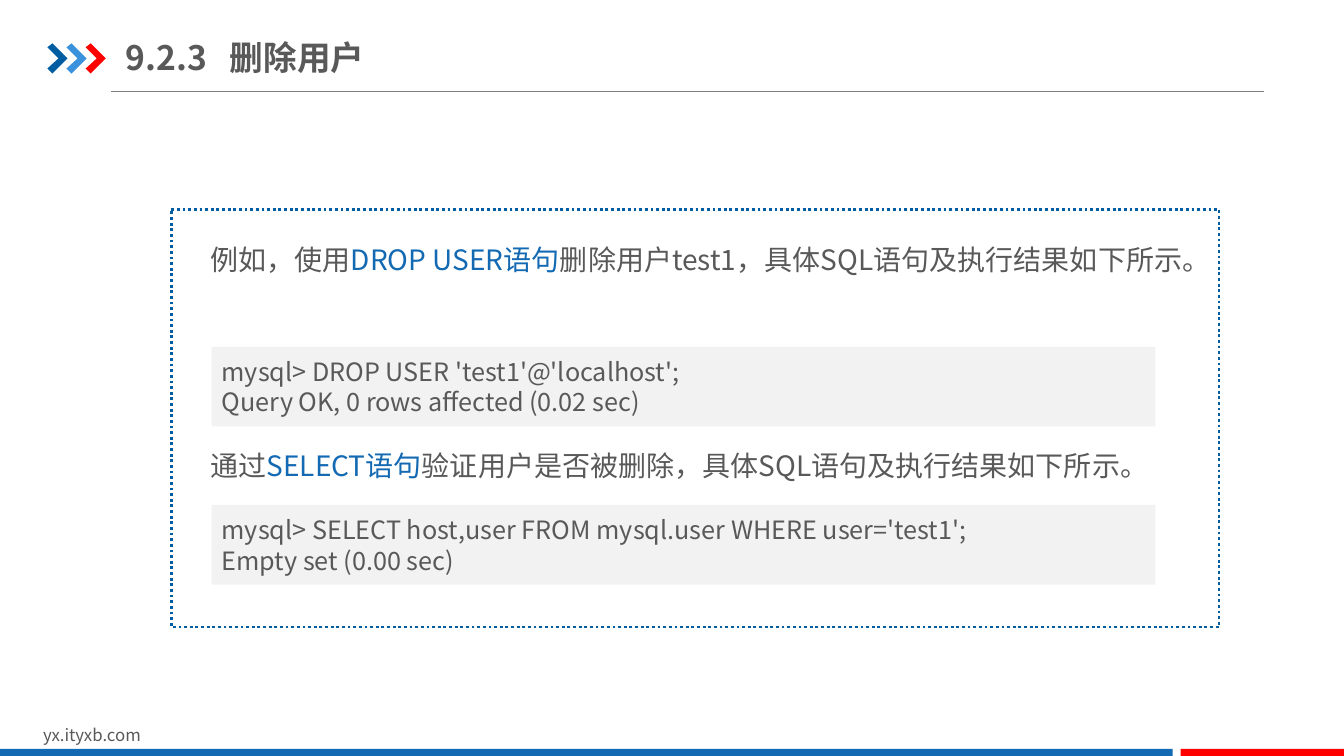
from lxml import etree
from pptx import Presentation
from pptx.dml.color import RGBColor
from pptx.enum.dml import MSO_LINE
from pptx.enum.shapes import MSO_CONNECTOR, MSO_SHAPE
from pptx.enum.text import MSO_ANCHOR, PP_ALIGN
from pptx.oxml.ns import qn
from pptx.util import Inches, Pt

FONT = "Noto Sans CJK SC"
TEXT, BLUE, NAVY, SKY = "595959", "1369B2", "005DA2", "3992DB"
RED, WHITE, PALE, GRAY = "FF0000", "FFFFFF", "F2F2F2", "808080"
RECTANGLE, PROCESS = MSO_SHAPE.RECTANGLE, MSO_SHAPE.FLOWCHART_PROCESS
STRAIGHT, DOTTED = MSO_CONNECTOR.STRAIGHT, MSO_LINE.ROUND_DOT
MIDDLE, TOP, LEFT = MSO_ANCHOR.MIDDLE, MSO_ANCHOR.TOP, PP_ALIGN.LEFT


def color(value):
    """Turn a hex string into a colour."""
    return RGBColor.from_string(value)


def add_run(paragraph, text, size, value=TEXT, bold=False):
    """Add one run in the slide font, for Latin and East Asian letters."""
    run = paragraph.add_run()
    run.text = text
    run.font.name = FONT
    run.font.size = Pt(size)
    run.font.bold = bold
    run.font.color.rgb = color(value)
    properties = run.font._element
    east_asian = etree.Element(qn("a:ea"), typeface=FONT)
    properties.find(qn("a:latin")).addnext(east_asian)


def add_block(slide, left, top, width, height, fill, kind=RECTANGLE):
    """Add a filled shape without outline or shadow."""
    shape = slide.shapes.add_shape(
        kind, Inches(left), Inches(top), Inches(width), Inches(height))
    shape.shadow.inherit = False
    shape.fill.solid()
    shape.fill.fore_color.rgb = color(fill)
    shape.line.fill.background()
    return shape


def add_text(slide, left, top, width, height, runs, size,
             bold=False, spacing=None, anchor=TOP):
    """Add a wrapped one-paragraph text box of (text, colour) runs."""
    box = slide.shapes.add_textbox(
        Inches(left), Inches(top), Inches(width), Inches(height))
    box.text_frame.word_wrap = True
    box.text_frame.vertical_anchor = anchor
    paragraph = box.text_frame.paragraphs[0]
    paragraph.line_spacing = spacing
    for text, value in runs:
        add_run(paragraph, text, size, value, bold)
    return box


def add_code(slide, top, lines):
    """Add a pale panel with lines of code."""
    panel = add_block(slide, 2.1, top, 9.36, 0.79, PALE)
    frame = panel.text_frame
    frame.word_wrap = True
    frame.vertical_anchor = MIDDLE
    for index, line in enumerate(lines):
        paragraph = frame.add_paragraph() if index else frame.paragraphs[0]
        paragraph.alignment = LEFT
        add_run(paragraph, line, 18)


def add_chevron(slide, left, fill):
    """Add one arrow-like chevron of the header."""
    top = 0.43
    outline = [(0, 0.04), (0.05, 0), (0.2, 0.15), (0.05, 0.3),
               (0, 0.25), (0.11, 0.15)]
    points = [(Inches(left + x), Inches(top + y)) for x, y in outline]
    builder = slide.shapes.build_freeform(*points[0], scale=1.0)
    builder.add_line_segments(points[1:], close=True)
    shape = builder.convert_to_shape()
    shape.shadow.inherit = False
    shape.fill.solid()
    shape.fill.fore_color.rgb = color(fill)
    shape.line.fill.background()


def add_header(slide):
    """Add the rule, the chevrons and the title."""
    rule = slide.shapes.add_connector(
        STRAIGHT, Inches(1.1), Inches(0.91), Inches(12.54), Inches(0.91))
    rule.line.color.rgb = color(GRAY)
    rule.line.width = Pt(0.75)
    etree.SubElement(rule._element.spPr, qn("a:effectLst"))
    for index, fill in enumerate((NAVY, SKY, RED)):
        add_chevron(slide, 0.47 + 0.19 * index, fill)
    title = add_text(slide, 1.25, 0.29, 4.64, 0.55,
                     [("9.2.3\t删除用户", TEXT)], 24, bold=True, anchor=MIDDLE)
    frame = title.text_frame
    frame.margin_left = frame.margin_right = 0
    frame.margin_top = frame.margin_bottom = Inches(0.07)
    properties = frame.paragraphs[0]._p.get_or_add_pPr()
    tabs = etree.SubElement(properties, qn("a:tabLst"))
    etree.SubElement(tabs, qn("a:tab"), pos=str(Inches(1.03)), algn="l")


def add_footer(slide):
    """Add the web address and the two bottom bars."""
    add_text(slide, 0.33, 7.14, 3.18, 0.3, [("yx.ityxb.com", TEXT)], 12)
    add_block(slide, 0, 7.43, 11.63, 0.07, BLUE)
    add_block(slide, 11.71, 7.43, 1.62, 0.07, RED)


def add_example(slide):
    """Add the dotted frame with both statements and their results."""
    frame = add_block(slide, 1.7, 2.08, 10.39, 4.14, WHITE, PROCESS)
    frame.line.color.rgb = color(NAVY)
    frame.line.width = Pt(2)
    frame.line.dash_style = DOTTED
    add_text(slide, 1.99, 2.19, 9.84, 1.11, [
        ("例如，使用", TEXT), ("DROP USER语句", BLUE),
        ("删除用户test1，具体SQL语句及执行结果如下所示。", TEXT),
    ], 20, spacing=1.5)
    add_code(slide, 3.44, ["mysql> DROP USER 'test1'@'localhost';",
                           "Query OK, 0 rows affected (0.02 sec)"])
    add_text(slide, 1.99, 4.23, 9.84, 0.6, [
        ("通过", TEXT), ("SELECT语句", BLUE),
        ("验证用户是否被删除，具体SQL语句及执行结果如下所示。", TEXT),
    ], 20, spacing=1.5)
    add_code(slide, 5.01, [
        "mysql> SELECT host,user FROM mysql.user WHERE user='test1';",
        "Empty set (0.00 sec)"])


def main():
    """Build and save the slide."""
    presentation = Presentation()
    presentation.slide_width = Inches(13.33)
    presentation.slide_height = Inches(7.5)
    slide = presentation.slides.add_slide(presentation.slide_layouts[6])
    add_header(slide)
    add_footer(slide)
    add_example(slide)
    presentation.save("out.pptx")


if __name__ == "__main__":
    main()
